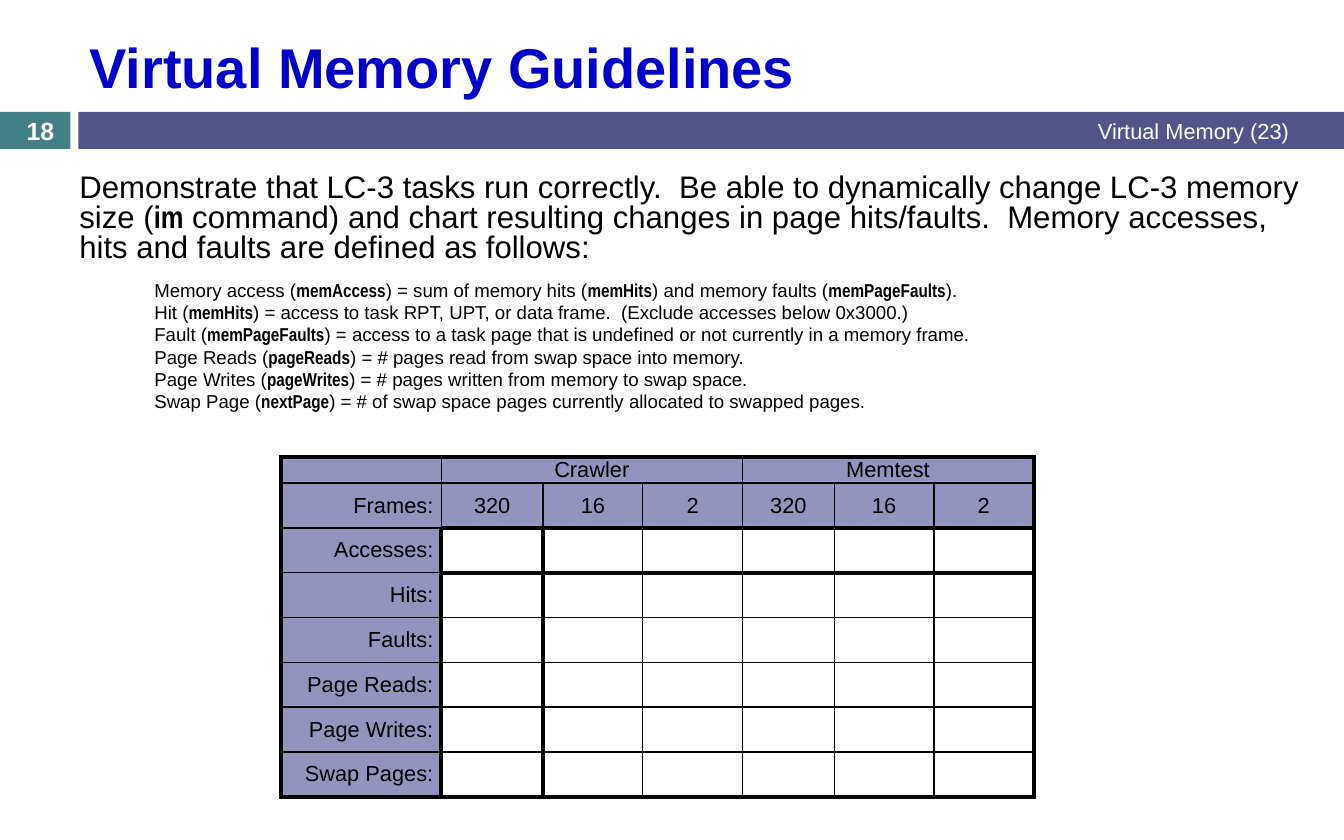
from dataclasses import dataclass
from lxml import etree
from pptx import Presentation
from pptx import util as u
from pptx.dml.color import RGBColor
from pptx.enum import shapes, text
from pptx.oxml import ns

COLUMNS, ROWS = 12, 7.5
LEFT, CENTER, RIGHT = text.PP_ALIGN.LEFT, text.PP_ALIGN.CENTER, text.PP_ALIGN.RIGHT


@dataclass(frozen=True)
class Theme:
    title_blue: str = "0000CC"
    teal: str = "438086"
    indigo: str = "53548A"
    lavender: str = "9394BE"
    ink: str = "000000"
    white: str = "FFFFFF"
    font: str = "Arial"
    code_font: str = "Arial Narrow"
    title: int = 36
    body: int = 20
    number: int = 16
    label: int = 14
    detail: int = 12
    thick: int = 3
    thin: int = 1


class SlideBuilder:
    def __init__(self, deck, theme):
        self.theme = theme
        self.slide = deck.slides.add_slide(deck.slide_layouts[6])
        self.column = deck.slide_width / COLUMNS
        self.row = deck.slide_height / ROWS

    def place(self, left, top, width, height):
        return (round(left * self.column), round(top * self.row),
                round(width * self.column), round(height * self.row))

    def band(self, area, color):
        band = self.slide.shapes.add_shape(shapes.MSO_SHAPE.RECTANGLE, *self.place(*area))
        band.shadow.inherit = False
        band.fill.solid()
        band.fill.fore_color.rgb = RGBColor.from_string(color)
        band.line.fill.background()

    def add_runs(self, paragraph, content, size, color, bold=False, align=LEFT):
        """Add content run by run; words between asterisks are code terms."""
        paragraph.alignment = align
        for index, part in enumerate(content.split("*")):
            is_code = index % 2 == 1
            run = paragraph.add_run()
            run.text = part
            run.font.name = self.theme.code_font if is_code else self.theme.font
            run.font.size = u.Pt(size)
            run.font.bold = bold or is_code
            run.font.color.rgb = RGBColor.from_string(color)

    def frame(self, area, anchor=text.MSO_ANCHOR.MIDDLE):
        frame = self.slide.shapes.add_textbox(*self.place(*area)).text_frame
        frame.word_wrap = True
        frame.vertical_anchor = anchor
        return frame

    def line(self, area, content, size, color, bold=False, align=LEFT):
        self.add_runs(self.frame(area).paragraphs[0], content, size, color, bold, align)

    def guidelines(self, area, intro, definitions):
        frame = self.frame(area, text.MSO_ANCHOR.TOP)
        lead = frame.paragraphs[0]
        lead.line_spacing = 0.8
        lead.space_before = u.Pt(4)
        self.add_runs(lead, intro, self.theme.body, self.theme.ink)
        for index, definition in enumerate(definitions):
            item = frame.add_paragraph()
            item.line_spacing = 0.8
            item.space_before = u.Pt(2.8 if index else 12)
            item._p.get_or_add_pPr().set("marL", str(round(0.67 * self.column)))
            self.add_runs(item, definition, self.theme.detail, self.theme.ink)

    def border(self, cell, side, is_thick):
        width = self.theme.thick if is_thick else self.theme.thin
        properties = cell._tc.get_or_add_tcPr()
        edge = etree.SubElement(properties, ns.qn("a:ln" + side), w=str(u.Pt(width)))
        fill = etree.SubElement(edge, ns.qn("a:solidFill"))
        etree.SubElement(fill, ns.qn("a:srgbClr"), val=self.theme.ink)

    def results_table(self, left, top, widths, heights, programs, frames, measures):
        last_row, last_column = len(heights), len(widths)
        area = self.place(left, top, sum(widths), sum(heights))
        table = self.slide.shapes.add_table(last_row, last_column, *area).table
        for column, width in zip(table.columns, widths):
            column.width = round(width * self.column)
        for row, height in zip(table.rows, heights):
            row.height = round(height * self.row)

        # Each program heads one group of frame counts
        labels = {(r, 0): name for r, name in enumerate(measures, 1)}
        for group, program in enumerate(programs):
            first = 1 + group * len(frames)
            table.cell(0, first).merge(table.cell(0, first + len(frames) - 1))
            labels[0, first] = program
            labels.update({(1, first + i): count for i, count in enumerate(frames)})

        def upright_thick(r, x):
            return x in (0, last_column) or (x in (1, 2) and r >= 2)

        def level_thick(c, y):
            return y in (0, last_row) or (y in (2, 3) and c >= 1)

        for r in range(last_row):
            for c in range(last_column):
                cell = table.cell(r, c)
                cell.vertical_anchor = text.MSO_ANCHOR.MIDDLE
                cell.margin_left = cell.margin_right = u.Inches(0.07)
                cell.margin_top = cell.margin_bottom = 0
                span = cell.span_width if cell.is_merge_origin else 1
                self.border(cell, "L", upright_thick(r, c))
                self.border(cell, "R", upright_thick(r, c + span))
                self.border(cell, "T", level_thick(c, r))
                self.border(cell, "B", level_thick(c, r + 1))
                if r < 2 or c == 0:
                    cell.fill.solid()
                    cell.fill.fore_color.rgb = RGBColor.from_string(self.theme.lavender)
                else:
                    cell.fill.background()
                paragraph = cell.text_frame.paragraphs[0]
                if (r, c) in labels:
                    self.add_runs(paragraph, labels[r, c], self.theme.label, self.theme.ink,
                                  align=CENTER if c else RIGHT)
                else:  # keeps empty cells from stretching their row
                    etree.SubElement(paragraph._p, ns.qn("a:endParaRPr"),
                                     sz=str(self.theme.label * 100))


def main():
    deck = Presentation()
    deck.slide_width, deck.slide_height = u.Inches(12), u.Inches(7.5)
    theme = Theme()
    page = SlideBuilder(deck, theme)

    # Header bands, title, chapter and page number
    page.band((0, 1, 0.63, 0.33), theme.teal)
    page.band((0.7, 1, 11.3, 0.33), theme.indigo)
    page.line((0.7, 0.19, 10.91, 0.8), "Virtual Memory Guidelines",
              theme.title, theme.title_blue, bold=True)
    page.line((4.5, 0.99, 7.11, 0.35), "Virtual Memory (23)",
              theme.label, theme.white, align=RIGHT)
    page.line((0, 1.02, 0.72, 0.3), "18", theme.number, theme.white, bold=True, align=CENTER)

    # Results to fill in
    page.results_table(
        2.51, 4.08,
        widths=[1.43, 0.91, 0.89, 0.89, 0.82, 0.89, 0.89],
        heights=[0.22] + [0.4] * 7,
        programs=["Crawler", "Memtest"],
        frames=["320", "16", "2"],
        measures=["Frames:", "Accesses:", "Hits:", "Faults:",
                  "Page Reads:", "Page Writes:", "Swap Pages:"])

    # Task and definitions
    page.guidelines(
        (0.61, 1.51, 11.1, 2.88),
        "Demonstrate that LC-3 tasks run correctly.  Be able to dynamically change LC-3 "
        "memory size (*im* command) and chart resulting changes in page hits/faults.  "
        "Memory accesses, hits and faults are defined as follows:",
        ["Memory access (*memAccess*) = sum of memory hits (*memHits*) "
         "and memory faults (*memPageFaults*).",
         "Hit (*memHits*) = access to task RPT, UPT, or data frame.  "
         "(Exclude accesses below 0x3000.)",
         "Fault (*memPageFaults*) = access to a task page that is undefined "
         "or not currently in a memory frame.",
         "Page Reads (*pageReads*) = # pages read from swap space into memory.",
         "Page Writes (*pageWrites*) = # pages written from memory to swap space.",
         "Swap Page (*nextPage*) = # of swap space pages currently allocated to swapped pages."])

    deck.save("out.pptx")


if __name__ == "__main__":
    main()
